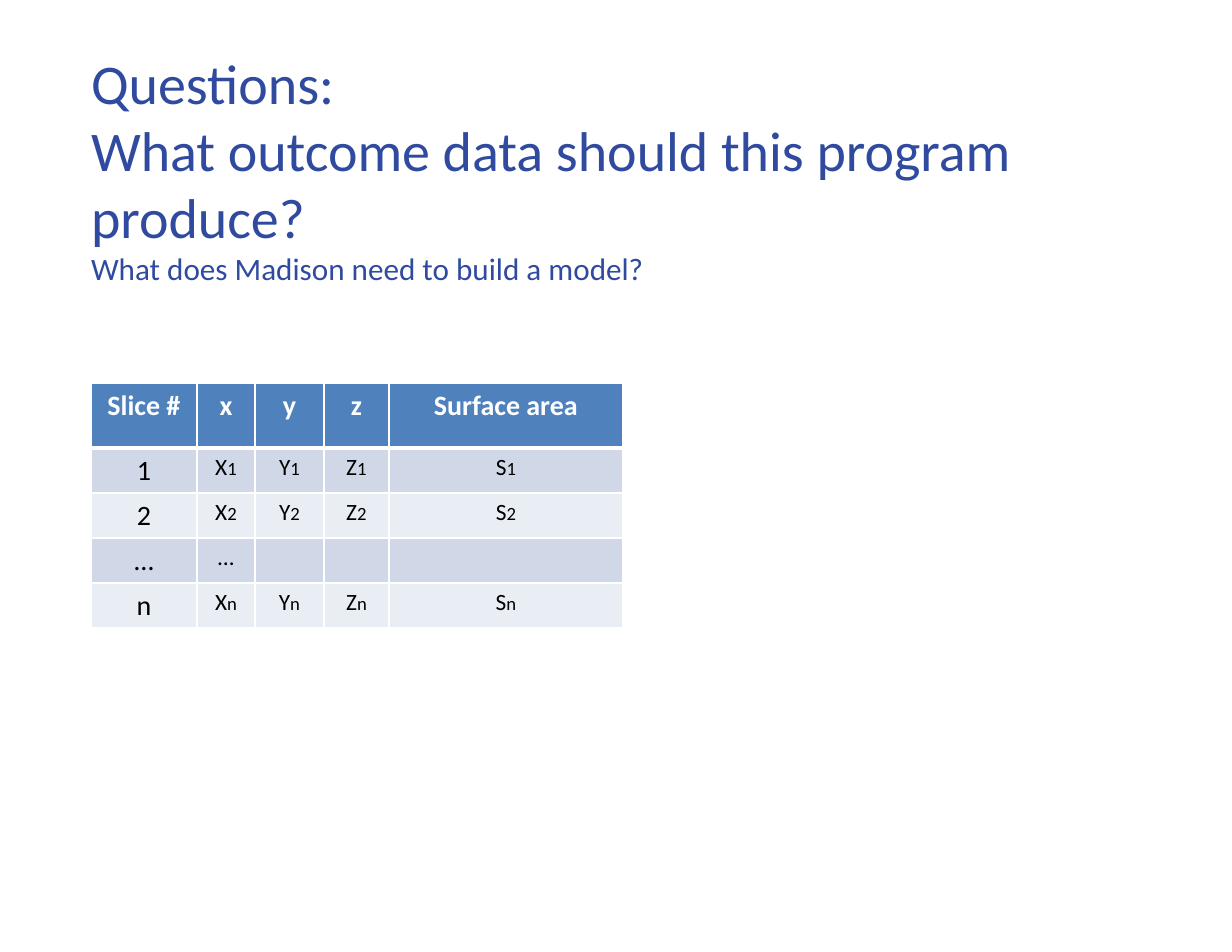
from lxml.etree import SubElement
from pptx import Presentation
from pptx.dml.color import RGBColor
from pptx.enum.text import MSO_ANCHOR, MSO_AUTO_SIZE, PP_ALIGN
from pptx.oxml.ns import qn
from pptx.util import Emu, Pt

PX = 914400 // 112
FONT = "Calibri"
COLORS = {
    "title": "2F4A9F",
    "header": "4F81BD",
    "odd": "D0D8E8",
    "even": "E9EDF4",
    "white": "FFFFFF",
    "black": "000000",
}
TITLE_LINES = [
    ("Questions:", 36),
    ("What outcome data should this program produce?", 36),
    ("What does Madison need to build a model?", 20),
]
HEADERS = ["Slice #", "x", "y", "z", "Surface area"]
SYMBOLS = ["X", "Y", "Z", "S"]
SLICES = ["1", "2", "…", "n"]
COLUMN_WIDTHS = [106, 58, 69, 65, 234]
HEADER_HEIGHT, ROW_HEIGHT = 65, 45


def px(value):
    return Emu(value * PX)


def style_run(run, size, color, bold=False):
    run.font.name = FONT
    run.font.size = Pt(size)
    run.font.bold = bold
    run.font.color.rgb = RGBColor.from_string(COLORS[color])


def add_title(slide, left, top, width, height):
    title = slide.shapes.title
    title.left, title.top, title.width, title.height = map(px, (left, top, width, height))
    frame = title.text_frame
    frame.text = "\v".join(text for text, size in TITLE_LINES)
    frame.word_wrap = True
    frame.auto_size = MSO_AUTO_SIZE.SHAPE_TO_FIT_TEXT
    frame.vertical_anchor = MSO_ANCHOR.TOP
    frame.margin_left = frame.margin_right = frame.margin_bottom = 0
    frame.margin_top = px(1)
    paragraph = frame.paragraphs[0]
    paragraph.alignment = PP_ALIGN.LEFT
    paragraph.space_before = Pt(1)
    for run, (text, size) in zip(paragraph.runs, TITLE_LINES):
        style_run(run, size, "title")
    for line_break in paragraph._p.findall(qn("a:br")):
        SubElement(line_break, qn("a:rPr"), sz="3600")


def set_borders(cell, bottom_points, top_points):
    properties = cell._tc.get_or_add_tcPr()
    widths = {"a:lnL": 1, "a:lnR": 1, "a:lnT": top_points, "a:lnB": bottom_points}
    for tag, points in widths.items():
        line = SubElement(properties, qn(tag), w=str(Pt(points)))
        fill = SubElement(line, qn("a:solidFill"))
        SubElement(fill, qn("a:srgbClr"), val=COLORS["white"])


def fill_cell(cell, parts, fill, color, bold=False):
    paragraph = cell.text_frame.paragraphs[0]
    paragraph.alignment = PP_ALIGN.CENTER
    for text, size in parts:
        run = paragraph.add_run()
        run.text = text
        style_run(run, size, color, bold)
    cell.fill.solid()
    cell.fill.fore_color.rgb = RGBColor.from_string(COLORS[fill])


def slice_parts(name):
    if name == "…":
        return [[(name, 18)], [(name, 15)], [], [], []]
    return [[(name, 18)]] + [[(symbol, 15), (name, 12)] for symbol in SYMBOLS]


def add_slice_table(slide, left, top):
    width = sum(COLUMN_WIDTHS)
    height = HEADER_HEIGHT + ROW_HEIGHT * len(SLICES)
    table = slide.shapes.add_table(
        len(SLICES) + 1, len(HEADERS), px(left), px(top), px(width), px(height)
    ).table
    for column, column_width in zip(table.columns, COLUMN_WIDTHS):
        column.width = px(column_width)
    rows = [[[(header, 18)] for header in HEADERS]] + [slice_parts(name) for name in SLICES]
    for index, parts_row in enumerate(rows):
        is_header = index == 0
        table.rows[index].height = px(HEADER_HEIGHT if is_header else ROW_HEIGHT)
        fill = "header" if is_header else "odd" if index % 2 else "even"
        for cell, parts in zip(table.rows[index].cells, parts_row):
            set_borders(cell, 3 if is_header else 1, 3 if index == 1 else 1)
            fill_cell(cell, parts, fill, "white" if is_header else "black", is_header)


def main():
    presentation = Presentation()
    presentation.slide_width, presentation.slide_height = px(1232), px(952)
    slide = presentation.slides.add_slide(presentation.slide_layouts[5])
    add_title(slide, 91, 47, 1020, 243)
    add_slice_table(slide, 91, 383)
    presentation.save("out.pptx")


if __name__ == "__main__":
    main()
